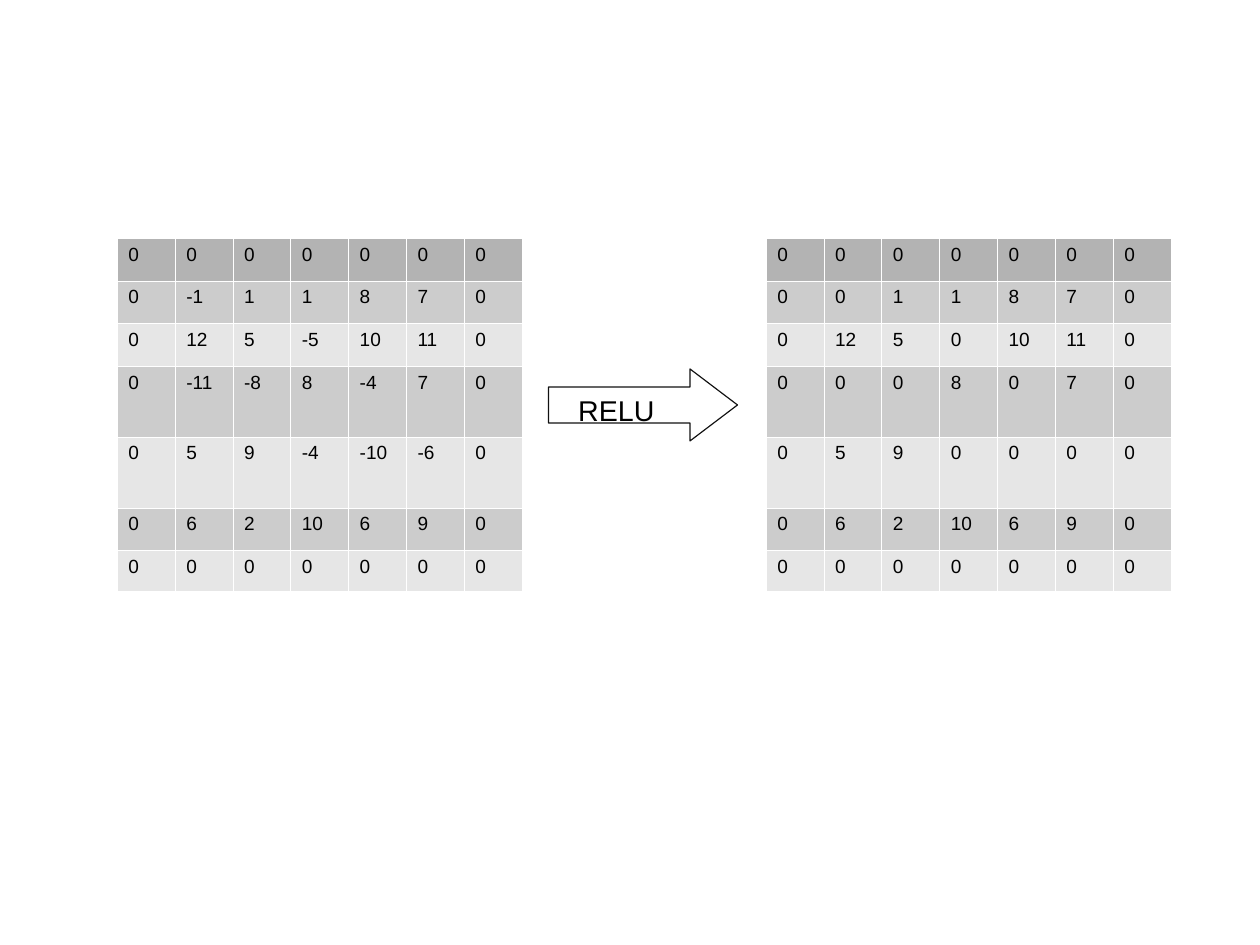
"""Build a slide showing a padded feature map before and after RELU."""
from lxml.etree import SubElement
from pptx import Presentation
from pptx.dml.color import RGBColor
from pptx.enum.shapes import MSO_SHAPE
from pptx.oxml.ns import qn
from pptx.util import Cm, Pt

FEATURE_MAP = [
    (0, 0, 0, 0, 0, 0, 0),
    (0, -1, 1, 1, 8, 7, 0),
    (0, 12, 5, -5, 10, 11, 0),
    (0, -11, -8, 8, -4, 7, 0),
    (0, 5, 9, -4, -10, -6, 0),
    (0, 6, 2, 10, 6, 9, 0),
    (0, 0, 0, 0, 0, 0, 0),
]
RECTIFIED_MAP = [[max(0, value) for value in row] for row in FEATURE_MAP]
OPERATION = "RELU"

FONT = "Arial"
BLACK = RGBColor(0x00, 0x00, 0x00)
OUTLINE = RGBColor(0x11, 0x11, 0x11)
WHITE = RGBColor(0xFF, 0xFF, 0xFF)
HEADER_GREY = RGBColor(0xB3, 0xB3, 0xB3)
BAND_GREYS = (RGBColor(0xE6, 0xE6, 0xE6), RGBColor(0xCC, 0xCC, 0xCC))

MAP_TOP = Cm(5.29)
MAP_WIDTH = Cm(9)
ROW_HEIGHTS = [Cm(h) for h in (0.95, 0.95, 0.95, 1.57, 1.57, 0.95, 0.91)]


def style_text(frame, size):
    font = frame.paragraphs[0].font
    font.name, font.size, font.color.rgb = FONT, Pt(size), BLACK


def add_borders(cell):
    properties = cell._tc.get_or_add_tcPr()
    for side in ("a:lnL", "a:lnR", "a:lnT", "a:lnB"):
        line = SubElement(properties, qn(side), w=str(Pt(0.06)))
        fill = SubElement(line, qn("a:solidFill"))
        SubElement(fill, qn("a:srgbClr"), val=str(WHITE))


def add_map(slide, values, left):
    grid = slide.shapes.add_table(len(values), len(values[0]), left, MAP_TOP,
                                  MAP_WIDTH, sum(ROW_HEIGHTS)).table
    for r, row in enumerate(values):
        grid.rows[r].height = ROW_HEIGHTS[r]
        for c, value in enumerate(row):
            cell = grid.cell(r, c)
            cell.text = str(value)
            style_text(cell.text_frame, 12)
            cell.text_frame.paragraphs[0].font.bold = False
            add_borders(cell)
            cell.fill.solid()
            cell.fill.fore_color.rgb = BAND_GREYS[r % 2] if r else HEADER_GREY


def add_operation(slide):
    arrow = slide.shapes.add_shape(MSO_SHAPE.RIGHT_ARROW, Cm(12.19), Cm(8.2), Cm(4.2), Cm(1.6))
    arrow.adjustments[1] = 0.66
    arrow.shadow.inherit = False
    arrow.fill.background()
    arrow.line.color.rgb = OUTLINE
    arrow.line.width = Pt(0)
    label = slide.shapes.add_textbox(Cm(12.6), Cm(8.61), Cm(3), Cm(0.97)).text_frame
    label.word_wrap = True
    label.text = OPERATION
    style_text(label, 18)


presentation = Presentation()
presentation.slide_width, presentation.slide_height = Cm(28), Cm(21)
relu_slide = presentation.slides.add_slide(presentation.slide_layouts[6])
add_map(relu_slide, FEATURE_MAP, Cm(2.6))
add_operation(relu_slide)
add_map(relu_slide, RECTIFIED_MAP, Cm(17.02))
presentation.save("out.pptx")
